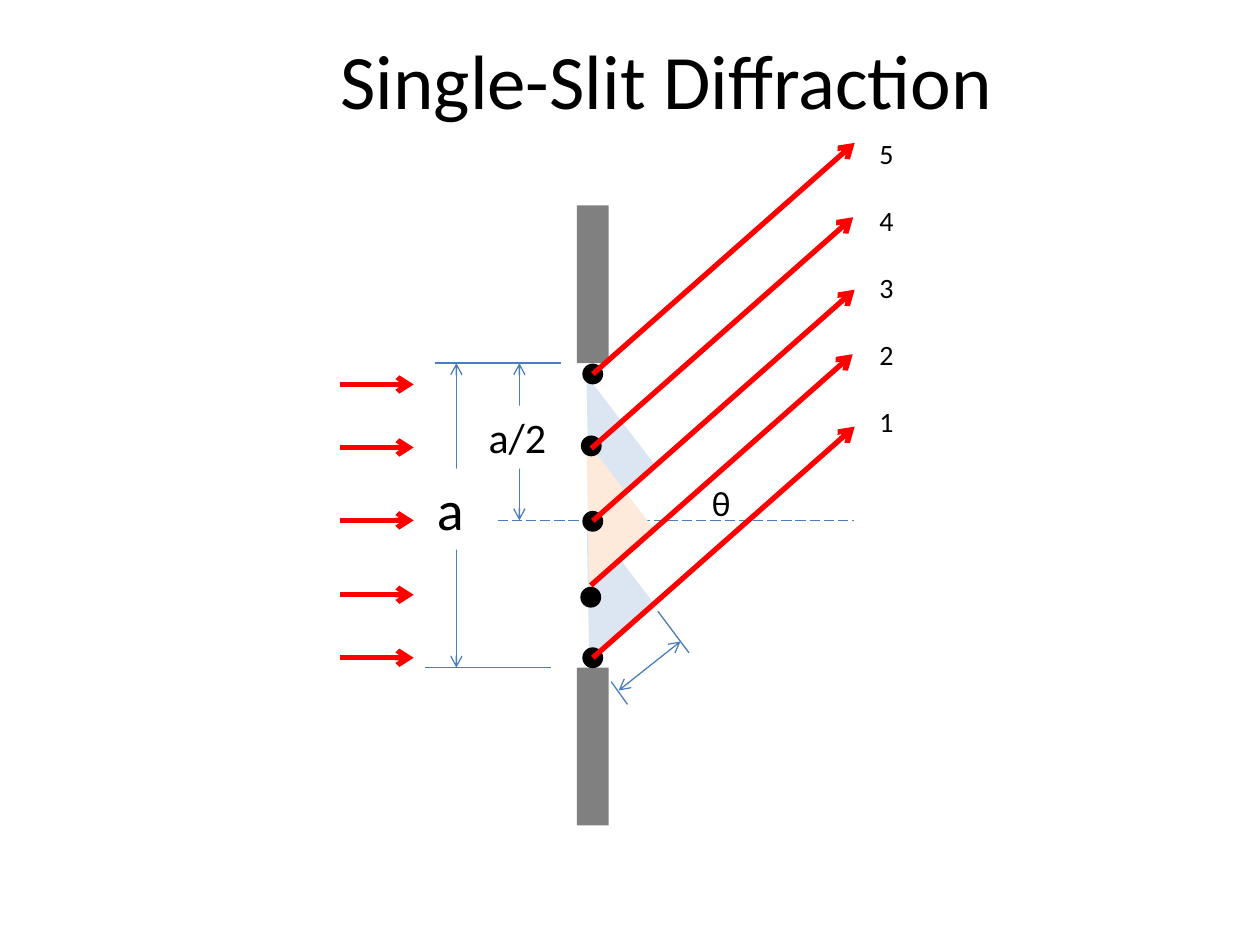
import pptx
import pptx.dml.color
import pptx.enum.dml
import pptx.enum.shapes
import pptx.enum.text
import pptx.oxml.ns
import pptx.oxml.xmlchemy
import pptx.util

Cm = pptx.util.Cm
Pt = pptx.util.Pt
SHAPE = pptx.enum.shapes.MSO_SHAPE
BLACK, WHITE, GRAY = "000000", "FFFFFF", "808080"
RED, BLUE = "FF0000", "4B7EBC"
PALE_BLUE, PALE_ORANGE = "DCE6F2", "FDEADA"


def color(hex_value):
    return pptx.dml.color.RGBColor.from_string(hex_value)


def style_text(paragraph, size):
    paragraph.font.name = "Calibri"
    paragraph.font.size = Pt(size)
    paragraph.font.color.rgb = color(BLACK)


def add_line(slide, start, end, line_color=BLUE, width=0.75, heads=()):
    """Draw a straight line; heads names the ends (headEnd, tailEnd) with arrows."""
    line = slide.shapes.add_connector(
        pptx.enum.shapes.MSO_CONNECTOR.STRAIGHT, *map(Cm, (*start, *end)))
    line.line.color.rgb = color(line_color)
    line.line.width = Pt(width)
    properties = line._element.spPr
    outline = properties.find(pptx.oxml.ns.qn("a:ln"))
    for head in heads:
        end_element = pptx.oxml.xmlchemy.OxmlElement(f"a:{head}")
        end_element.set("type", "arrow")
        outline.append(end_element)
    properties.append(pptx.oxml.xmlchemy.OxmlElement("a:effectLst"))
    return line


def add_filled(slide, kind, left, top, width, height, fill):
    shape = slide.shapes.add_shape(kind, *map(Cm, (left, top, width, height)))
    shape.shadow.inherit = False
    shape.fill.solid()
    shape.fill.fore_color.rgb = color(fill)
    shape.line.fill.background()
    return shape


def add_label(slide, lines, left, top, width, height, size, fill=None, wrap=False, gap=0):
    box = slide.shapes.add_textbox(*map(Cm, (left, top, width, height)))
    if fill:
        box.fill.solid()
        box.fill.fore_color.rgb = color(fill)
    frame = box.text_frame
    frame.word_wrap = wrap
    frame.text = "\n".join(lines)
    for index, paragraph in enumerate(frame.paragraphs):
        style_text(paragraph, size)
        if index:
            paragraph.space_before = Pt(gap)


def place_title(slide, left, top, width, height):
    title = slide.shapes.title
    title.left, title.top, title.width, title.height = map(Cm, (left, top, width, height))
    title.text_frame.text = "Single-Slit Diffraction"
    title.text_frame.vertical_anchor = pptx.enum.text.MSO_ANCHOR.MIDDLE
    paragraph = title.text_frame.paragraphs[0]
    paragraph.alignment = pptx.enum.text.PP_ALIGN.CENTER
    style_text(paragraph, 44)


def draw_dimensions(slide, left, top, slit_height, axis_offset):
    """Slit width, half width and the optical axis."""
    bottom, axis = top + slit_height, top + axis_offset
    both = ("headEnd", "tailEnd")
    add_line(slide, (left + 0.2, top), (left + 2.74, top))
    add_line(slide, (left, bottom), (left + 2.54, bottom))
    add_line(slide, (left + 0.64, top), (left + 0.64, bottom), heads=both)
    add_line(slide, (left + 1.91, top), (left + 1.91, axis), heads=both)
    add_label(slide, ["a"], left, top + 2.13, 1.07, 1.63, 32, WHITE)
    add_label(slide, ["a/2"], left + 1.04, top + 0.86, 1.68, 1.27, 24, WHITE)
    axis_line = add_line(slide, (left + 1.47, axis), (left + 8.66, axis))
    axis_line.line.dash_style = pptx.enum.dml.MSO_LINE.LONG_DASH
    add_label(slide, ["θ"], left + 5.54, top + 2.26, 0.58, 1.12, 20, wrap=True)


def draw_path_triangles(slide, left, top):
    for offset, fill in ((0, PALE_BLUE), (2.82, PALE_BLUE), (1.32, PALE_ORANGE)):
        triangle = add_filled(
            slide, SHAPE.RIGHT_TRIANGLE, left, top + offset, 1.7, 2.31, fill)
        triangle.rotation = 322.6
        triangle._element.spPr.find(pptx.oxml.ns.qn("a:xfrm")).set("flipH", "1")


def draw_barrier(slide, left, top, width, height):
    part_height = 3.18
    for part_top in (top, top + height - part_height):
        add_filled(slide, SHAPE.RECTANGLE, left, part_top, width, part_height, GRAY)


def draw_incoming_rays(slide, left, top, length):
    for offset in (0, 1.27, 2.74, 4.24, 5.51):
        add_line(slide, (left, top + offset), (left + length, top + offset),
                 RED, 3, ["tailEnd"])


def draw_sources_and_rays(slide, left, top):
    """Point sources in the slit, each sending one ray; left, top is the first source."""
    radius, run, rise = 0.21, 5.28, 4.66
    sources = ((0, 0, 0), (-0.03, 1.45, 1.5), (0, 2.97, 2.96),
               (-0.04, 4.5, 4.26), (0, 5.72, 5.72))
    for shift, dot_offset, _ in sources:
        add_filled(slide, SHAPE.OVAL, left + shift - radius, top + dot_offset - radius,
                   2 * radius, 2 * radius, BLACK)
    for shift, _, ray_offset in sources:
        start_x, start_y = left + shift, top + ray_offset
        add_line(slide, (start_x, start_y), (start_x + run, start_y - rise),
                 RED, 3, ["tailEnd"])


def draw_path_difference(slide, left, top):
    add_line(slide, (left + 0.94, top), (left + 1.57, top + 0.84))
    add_line(slide, (left, top + 1.42), (left + 0.33, top + 1.88))
    add_line(slide, (left + 0.15, top + 1.6), (left + 1.4, top + 0.61),
             heads=("headEnd", "tailEnd"))


def main():
    presentation = pptx.Presentation()
    presentation.slide_width, presentation.slide_height = Cm(25.4), Cm(19.05)
    slide = presentation.slides.add_slide(presentation.slide_layouts[5])
    place_title(slide, 4.45, 0, 17.98, 3.18)
    draw_dimensions(slide, 8.56, 7.32, 6.14, 3.17)
    draw_path_triangles(slide, 11, 7.85)
    draw_barrier(slide, 11.63, 4.14, 0.64, 12.5)
    draw_incoming_rays(slide, 6.86, 7.75, 1.48)
    draw_sources_and_rays(slide, 11.95, 7.54)
    draw_path_difference(slide, 12.32, 12.32)
    add_label(slide, "54321", 17.48, 2.62, 0.81, 6.4, 16, gap=19.2)
    presentation.save("out.pptx")


if __name__ == "__main__":
    main()
